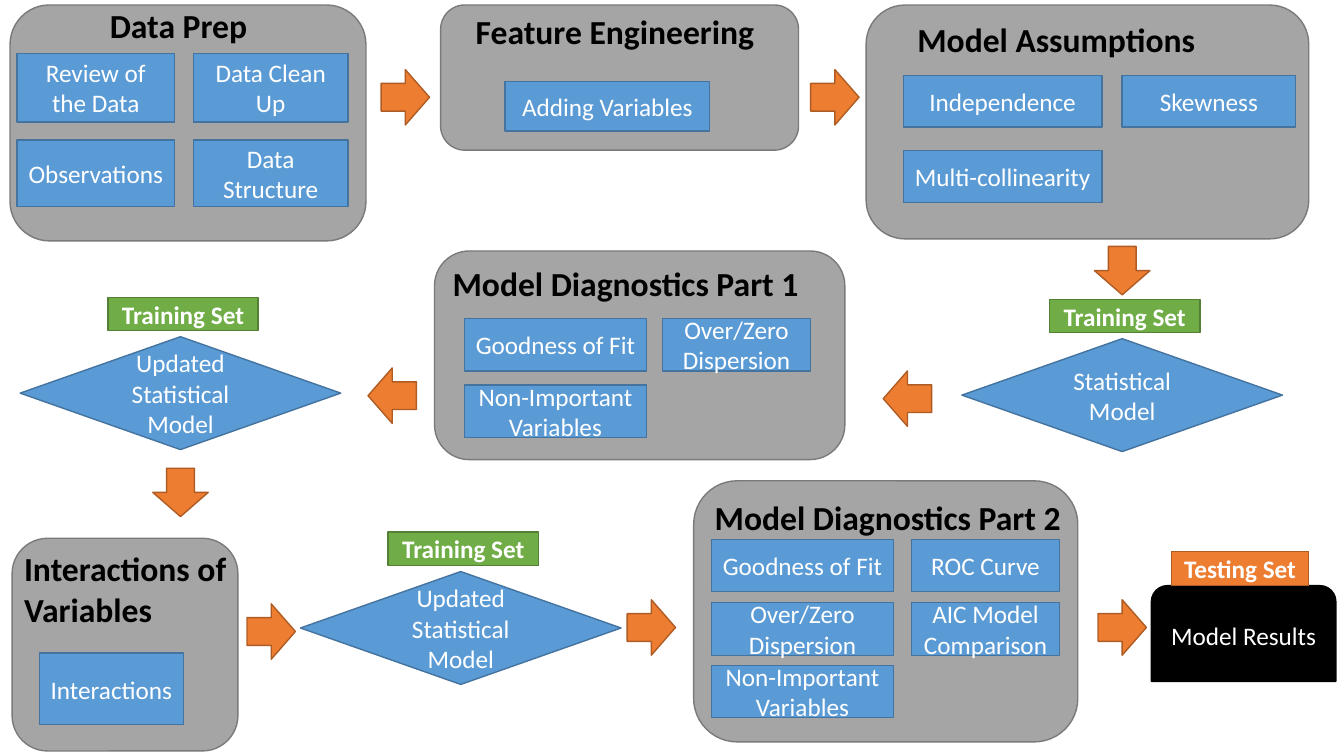
from dataclasses import dataclass

from pptx import Presentation
from pptx.dml.color import RGBColor
from pptx.enum.shapes import MSO_SHAPE as Shape
from pptx.enum.text import MSO_ANCHOR as Anchor, PP_ALIGN as Align
from pptx.util import Inches, Pt


@dataclass(frozen=True)
class Theme:
    font: str = "Calibri"
    title_size: int = 24
    label_size: int = 18
    line_width: int = 1
    title: str = "000000"
    label: str = "FFFFFF"
    panel: tuple = ("A5A5A5", "7A7A7A")
    step: tuple = ("5B9BD5", "43739E")
    arrow: tuple = ("ED7D31", "AF5C24")
    training: tuple = ("70AD47", "538035")
    results: tuple = ("000000", "000000")


THEME = Theme()

STAGES = [
    {"title": "Data Prep", "title_at": (0.99, 0, 1.91, 0.5),
     "panel": (0.1, 0.05, 3.53, 2.34),
     "columns": [(0.17, 1.56), (1.92, 1.53)],
     "rows": [(0.53, 0.68), (1.39, 0.66)],
     "steps": [["Review of the Data", "Data Clean Up"],
               ["Observations", "Data Structure"]]},
    {"title": "Feature Engineering", "title_at": (4.62, 0.06, 3.04, 0.5),
     "panel": (4.37, 0.05, 3.55, 1.44),
     "columns": [(5.01, 2.03)],
     "rows": [(0.81, 0.49)],
     "steps": [["Adding Variables"]]},
    {"title": "Model Assumptions", "title_at": (9, 0.14, 3.97, 0.5),
     "panel": (8.59, 0.05, 4.39, 2.32),
     "columns": [(8.96, 1.97), (11.13, 1.72)],
     "rows": [(0.75, 0.51), (1.49, 0.52)],
     "steps": [["Independence", "Skewness"], ["Multi-collinearity"]]},
    {"title": "Model Diagnostics Part 1", "title_at": (4.39, 2.56, 3.85, 0.5),
     "panel": (4.31, 2.49, 4.07, 2.07),
     "columns": [(4.61, 1.8), (6.57, 1.47)],
     "rows": [(3.16, 0.52), (3.82, 0.52)],
     "steps": [["Goodness of Fit", "Over/Zero Dispersion"],
               ["Non-Important Variables"]]},
    {"title": "Interactions of Variables", "title_at": (0.14, 5.39, 3.19, 0.91),
     "panel": (0.12, 5.34, 2.24, 2.11),
     "columns": [(0.39, 1.43)],
     "rows": [(6.48, 0.71)],
     "steps": [["Interactions"]]},
    {"title": "Model Diagnostics Part 2", "title_at": (6.99, 4.88, 3.84, 0.5),
     "panel": (6.88, 4.77, 3.81, 2.59),
     "columns": [(7.06, 1.8), (9.04, 1.47)],
     "rows": [(5.35, 0.52), (5.98, 0.52), (6.6, 0.52)],
     "steps": [["Goodness of Fit", "ROC Curve"],
               ["Over/Zero Dispersion", "AIC Model Comparison"],
               ["Non-Important Variables"]]},
]

MODELS = [
    ("Statistical Model", 9.54, 3.36),
    ("Updated Statistical Model", 0.2, 3.34),
    ("Updated Statistical Model", 2.98, 5.67),
]
MODEL_SIZE = (3.18, 1.12)
TRAINING_OFFSET = (0.87, -0.39)
TRAINING_SIZE = (1.49, 0.33)

ARROWS = [
    (3.78, 0.69, 0), (8.04, 0.69, 0), (10.89, 2.41, 90),
    (8.76, 3.68, 180), (3.65, 3.65, 180), (1.55, 4.61, 90),
    (2.45, 5.99, 0), (6.22, 5.95, 0), (10.89, 5.95, 0),
]
ARROW_SIZE = (0.48, 0.55)

RESULTS = ("Model Results", (11.42, 5.81, 1.83, 0.95))
TESTING = ("Testing Set", (11.62, 5.47, 1.36, 0.34))


def write(box, text, size, color, bold, align):
    box.text_frame.word_wrap = True
    para = box.text_frame.paragraphs[0]
    para.text = text
    para.alignment = align
    para.font.name = THEME.font
    para.font.size = Pt(size)
    para.font.bold = bold
    para.font.color.rgb = RGBColor.from_string(color)


def add_box(shapes, kind, place, colors, text="", bold=False):
    box = shapes.add_shape(kind, *map(Inches, place))
    box.shadow.inherit = False
    fill, line = map(RGBColor.from_string, colors)
    box.fill.solid()
    box.fill.fore_color.rgb = fill
    box.line.color.rgb = line
    box.line.width = Pt(THEME.line_width)
    if text:
        box.text_frame.vertical_anchor = Anchor.MIDDLE
        write(box, text, THEME.label_size, THEME.label, bold, Align.CENTER)
    return box


def add_stage(page, stage):
    shapes = page.shapes.add_group_shape().shapes
    add_box(shapes, Shape.ROUNDED_RECTANGLE, stage["panel"], THEME.panel)
    for (top, height), labels in zip(stage["rows"], stage["steps"]):
        for (left, width), label in zip(stage["columns"], labels):
            add_box(shapes, Shape.FLOWCHART_PROCESS, (left, top, width, height),
                    THEME.step, label)
    title = shapes.add_textbox(*map(Inches, stage["title_at"]))
    write(title, stage["title"], THEME.title_size, THEME.title, True, Align.LEFT)


def add_model(page, label, left, top):
    add_box(page.shapes, Shape.DIAMOND, (left, top, *MODEL_SIZE), THEME.step, label)
    shift, rise = TRAINING_OFFSET
    add_box(page.shapes, Shape.FLOWCHART_PROCESS,
            (left + shift, top + rise, *TRAINING_SIZE),
            THEME.training, "Training Set", bold=True)


def add_results(page):
    shapes = page.shapes.add_group_shape().shapes
    label, place = RESULTS
    add_box(shapes, Shape.ROUND_2_SAME_RECTANGLE, place, THEME.results, label)
    label, place = TESTING
    add_box(shapes, Shape.FLOWCHART_PROCESS, place, THEME.arrow, label, bold=True)


def main():
    deck = Presentation()
    deck.slide_width, deck.slide_height = Inches(13.33), Inches(7.5)
    page = deck.slides.add_slide(deck.slide_layouts[6])
    for model in MODELS:
        add_model(page, *model)
    for stage in STAGES:
        add_stage(page, stage)
    for left, top, turn in ARROWS:
        arrow = add_box(page.shapes, Shape.RIGHT_ARROW,
                        (left, top, *ARROW_SIZE), THEME.arrow)
        arrow.rotation = turn
    add_results(page)
    deck.save("out.pptx")


if __name__ == "__main__":
    main()
